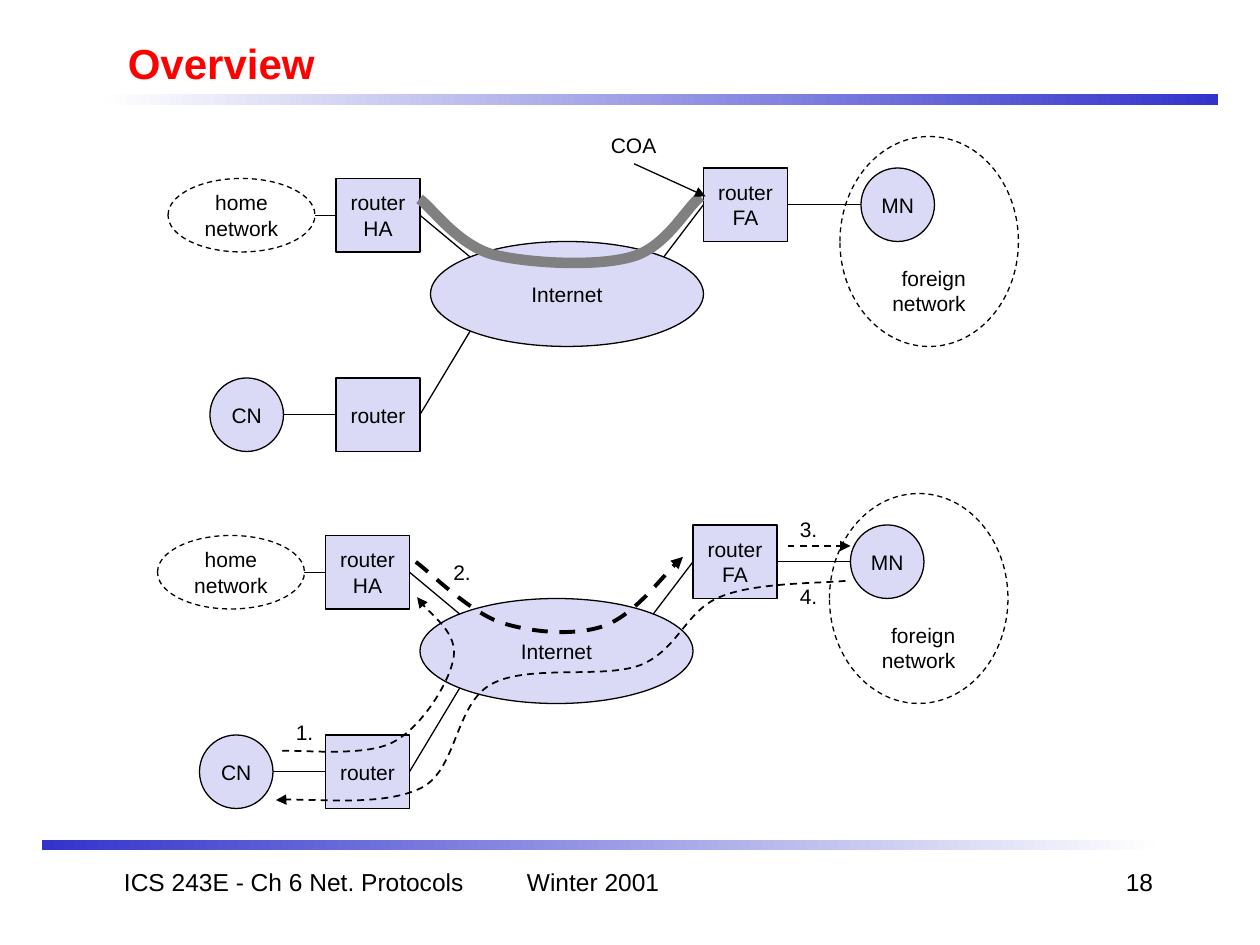
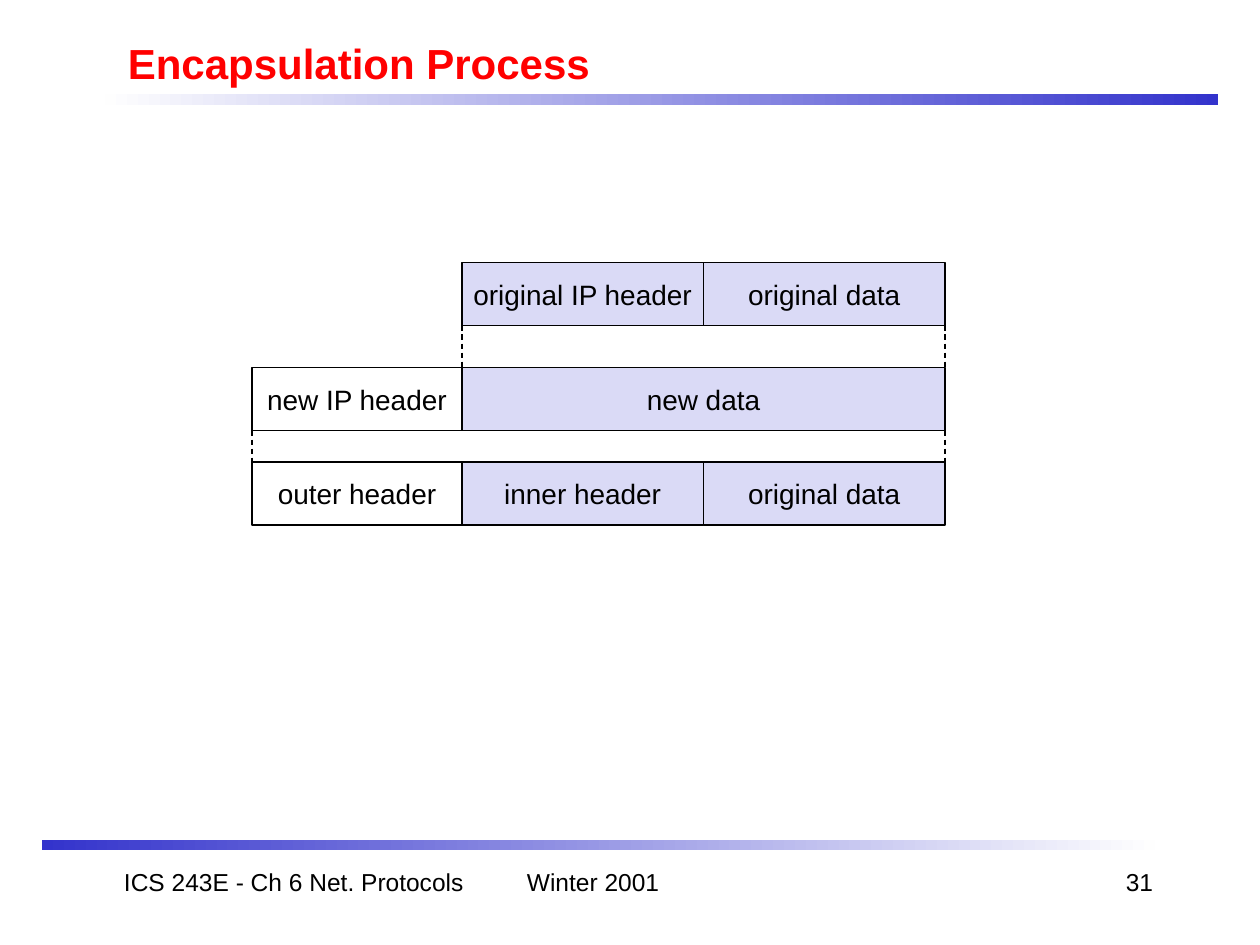
from pptx import Presentation
from pptx.dml.color import RGBColor
from pptx.enum.dml import MSO_LINE_DASH_STYLE as DASH
from pptx.enum.shapes import MSO_CONNECTOR, MSO_SHAPE as SHAPE
from pptx.enum.text import MSO_ANCHOR as ANCHOR, PP_ALIGN as ALIGN
from pptx.oxml.ns import qn
from pptx.oxml.xmlchemy import OxmlElement
from pptx.util import Inches, Pt

RED = RGBColor(0xFF, 0x00, 0x00)
BLACK = RGBColor(0x00, 0x00, 0x00)
WHITE = RGBColor(0xFF, 0xFF, 0xFF)
PALE = RGBColor(0xFE, 0xFE, 0xFE)
BLUE = RGBColor(0x33, 0x33, 0xCC)
LAVENDER = RGBColor(0xDA, 0xDA, 0xF6)
GRAY = RGBColor(0x80, 0x80, 0x80)
FONT = "Arial"
GRID = 12  # cells per inch: the slide is 120 columns by 90 rows
TOP, LEFT, BOTTOM, RIGHT = range(4)


def add_text(s, cells, text, size, kind=None, fill=None, dash=None, color=BLACK,
             bold=False, align=ALIGN.LEFT, anchor=ANCHOR.TOP, wrap=False):
    """Add a text box, or an outlined shape if kind is given, at grid cells."""
    box = [Inches(c / GRID) for c in cells]
    if kind is None:
        sp = s.shapes.add_textbox(*box)
    else:
        sp = s.shapes.add_shape(kind, *box)
        if fill is None:
            sp.fill.background()
        else:
            sp.fill.solid()
            sp.fill.fore_color.rgb = fill
        style_line(sp, dash=dash)
    tf = sp.text_frame
    tf.text = text
    tf.word_wrap = wrap
    tf.vertical_anchor = anchor
    for p in tf.paragraphs:
        p.alignment = align
        p.font.name, p.font.size, p.font.bold = FONT, Pt(size), bold
        p.font.color.rgb = color
    return sp


def style_line(sp, width=0.75, color=BLACK, dash=None, arrow=False):
    """Format an outline or connector and take its shadow away."""
    sp.line.color.rgb = color
    sp.line.width = Pt(width)
    if dash:
        sp.line.dash_style = dash
    props = sp._element.spPr
    if arrow:
        tail = OxmlElement("a:tailEnd")
        tail.set("type", "triangle")
        props.find(qn("a:ln")).append(tail)
    props.append(OxmlElement("a:effectLst"))


prs = Presentation()
prs.slide_width, prs.slide_height = Inches(10), Inches(7.5)

# Title, bands and footer of every slide
for title, number in (("Overview", "18"), ("Encapsulation Process", "31")):
    s = prs.slides.add_slide(prs.slide_layouts[6])
    for col, row, colors in ((10, 9, (BLUE, PALE)), (4, 80, (PALE, BLUE))):
        band = s.shapes.add_shape(SHAPE.RECTANGLE,
                                  *[Inches(c / GRID) for c in (col, row, 106, 1)])
        band.shadow.inherit = False
        band.line.fill.background()
        band.fill.gradient()
        band.fill.gradient_angle = 180
        for stop, color in zip(band.fill.gradient_stops, colors):
            stop.color.rgb = color
    add_text(s, (11, 3, 102, 6), title, 24, color=RED, bold=True,
             anchor=ANCHOR.MIDDLE, wrap=True)
    for col, width, text, align in (
            (9, 38, "ICS 243E - Ch 6 Net. Protocols", ALIGN.CENTER),
            (86, 25, number, ALIGN.RIGHT),
            (49, 25, "Winter 2001", ALIGN.LEFT)):
        add_text(s, (col, 82, width, 6), text, 14, align=align, wrap=True)

overview, encapsulation = prs.slides

# Overview: the same network twice, the second one shifted
NODES = (
    ("CN", SHAPE.OVAL, 20, 36, 7, 7),
    ("router\nHA", SHAPE.RECTANGLE, 32, 17, 8, 7),
    ("router\nFA", SHAPE.RECTANGLE, 67, 16, 8, 7),
    ("Internet", SHAPE.OVAL, 41, 23, 26, 10),
    ("router", SHAPE.RECTANGLE, 32, 36, 8, 7),
    ("MN", SHAPE.OVAL, 82, 16, 7, 7),
)
LINKS = (  # router, its side, far end
    ("router", RIGHT, 44.8, 31.5),
    ("router\nHA", RIGHT, 44.8, 24.5),
    ("router\nFA", LEFT, 63.2, 24.5),
    ("router", LEFT, 27, 39.5),
    ("router\nFA", RIGHT, 82, 19.5),
    ("router\nHA", LEFT, 30, 20.5),
)
for dx, dy in ((0, 0), (-1, 34)):
    nodes = {}
    for text, kind, x, y, w, h in NODES:
        nodes[text] = add_text(overview, (x + dx, y + dy, w, h), text, 12, kind, LAVENDER,
                               align=ALIGN.CENTER, anchor=ANCHOR.MIDDLE)
    add_text(overview, (16 + dx, 17 + dy, 14, 7), "home\nnetwork", 12, SHAPE.OVAL,
             dash=DASH.DASH, align=ALIGN.CENTER, anchor=ANCHOR.MIDDLE)
    foreign = add_text(overview, (80 + dx, 13 + dy, 17, 20), "foreign\nnetwork", 12,
                       SHAPE.OVAL, dash=DASH.DASH, align=ALIGN.RIGHT, anchor=ANCHOR.BOTTOM)
    tf = foreign.text_frame
    tf.margin_left = tf.margin_top = tf.margin_bottom = 0
    tf.margin_right = Inches(0.21)  # keeps the label inside the oval
    for name, side, x, y in LINKS:
        end = Inches((x + dx) / GRID), Inches((y + dy) / GRID)
        link = overview.shapes.add_connector(MSO_CONNECTOR.STRAIGHT, *end, *end)
        link.begin_connect(nodes[name], side)
        style_line(link)

# Packet routes: a start point, then three Bézier points per curve, in inches
ROUTES = (
    (((3.33, 1.58), (3.43, 1.65), (3.63, 1.94), (3.91, 2.02), (4.19, 2.09), (4.73, 2.12),
      (5.01, 2.04), (5.28, 1.97), (5.44, 1.66), (5.56, 1.56)),
     dict(width=6, color=GRAY)),
    (((2.24, 5.96), (2.38, 5.95), (2.9, 6.01), (3.12, 5.89), (3.35, 5.77), (3.57, 5.41),
      (3.6, 5.22), (3.63, 5.03), (3.37, 4.84), (3.31, 4.74)),
     dict(width=1, dash=DASH.DASH, arrow=True)),
    (((3.3, 4.46), (3.41, 4.54), (3.72, 4.85), (3.97, 4.94), (4.22, 5.02), (4.55, 5.05),
      (4.79, 4.97), (5.03, 4.88), (5.29, 4.53), (5.42, 4.42)),
     dict(width=2.25, dash=DASH.DASH, arrow=True)),
    (((6.71, 4.61), (6.54, 4.63), (5.98, 4.62), (5.71, 4.74), (5.44, 4.85), (5.38, 5.16),
      (5.08, 5.28), (4.78, 5.39), (4.19, 5.27), (3.9, 5.43), (3.61, 5.59), (3.63, 6.1),
      (3.35, 6.25), (3.06, 6.4), (2.43, 6.33), (2.19, 6.35)),
     dict(width=1, dash=DASH.DASH, arrow=True)),
)
for points, style in ROUTES:
    start, *rest = [(Inches(x), Inches(y)) for x, y in points]
    builder = overview.shapes.build_freeform(*start)
    builder.add_line_segments(rest, close=False)
    route = builder.convert_to_shape()
    route.fill.background()
    style_line(route, **style)
    outline = route._element.xpath(".//a:path")[0]
    segments = outline.findall(qn("a:lnTo"))
    for i in range(0, len(segments), 3):
        curve = OxmlElement("a:cubicBezTo")
        for segment in segments[i:i + 3]:
            curve.append(segment[0])
            outline.remove(segment)
        outline.append(curve)

for x1, y1, x2, y2, style in (
        (75, 52, 81, 52, dict(width=1, dash=DASH.DASH)),
        (60.4, 15.6, 67.2, 18.7, dict())):
    arrow = overview.shapes.add_connector(
        MSO_CONNECTOR.STRAIGHT, *[Inches(c / GRID) for c in (x1, y1, x2, y2)])
    style_line(arrow, arrow=True, **style)

for text, x, y, w in (("1.", 27, 67.9, 4.1), ("2.", 42, 52.7, 4.1), ("3.", 75, 48.6, 4.1),
                      ("4.", 75, 55, 4.1), ("COA", 57, 12, 6.7)):
    add_text(overview, (x, y, w, 3.6), text, 12)

# Encapsulation: packet fields between column edges
EDGES = (24, 44, 67, 90)
ROWS = (25, 35, 44)
FIELD_HEIGHT = 6
FIELDS = (  # row, first edge, last edge, text
    (0, 1, 2, "original IP header"),
    (0, 2, 3, "original data"),
    (1, 1, 3, "new data"),
    (1, 0, 1, "new IP header"),
    (2, 0, 1, "outer header"),
    (2, 1, 2, "inner header"),
    (2, 2, 3, "original data"),
)
for row, first, last, text in FIELDS:
    cells = EDGES[first], ROWS[row], EDGES[last] - EDGES[first], FIELD_HEIGHT
    add_text(encapsulation, cells, text, 16, SHAPE.RECTANGLE,
             WHITE if first == 0 else LAVENDER, align=ALIGN.CENTER, anchor=ANCHOR.MIDDLE)

for row, edge in ((0, 1), (0, 3), (1, 0), (1, 3)):
    x = Inches(EDGES[edge] / GRID)
    guide = encapsulation.shapes.add_connector(
        MSO_CONNECTOR.STRAIGHT, x, Inches((ROWS[row] + FIELD_HEIGHT) / GRID),
        x, Inches(ROWS[row + 1] / GRID))
    style_line(guide, dash=DASH.DASH)

prs.save("out.pptx")
